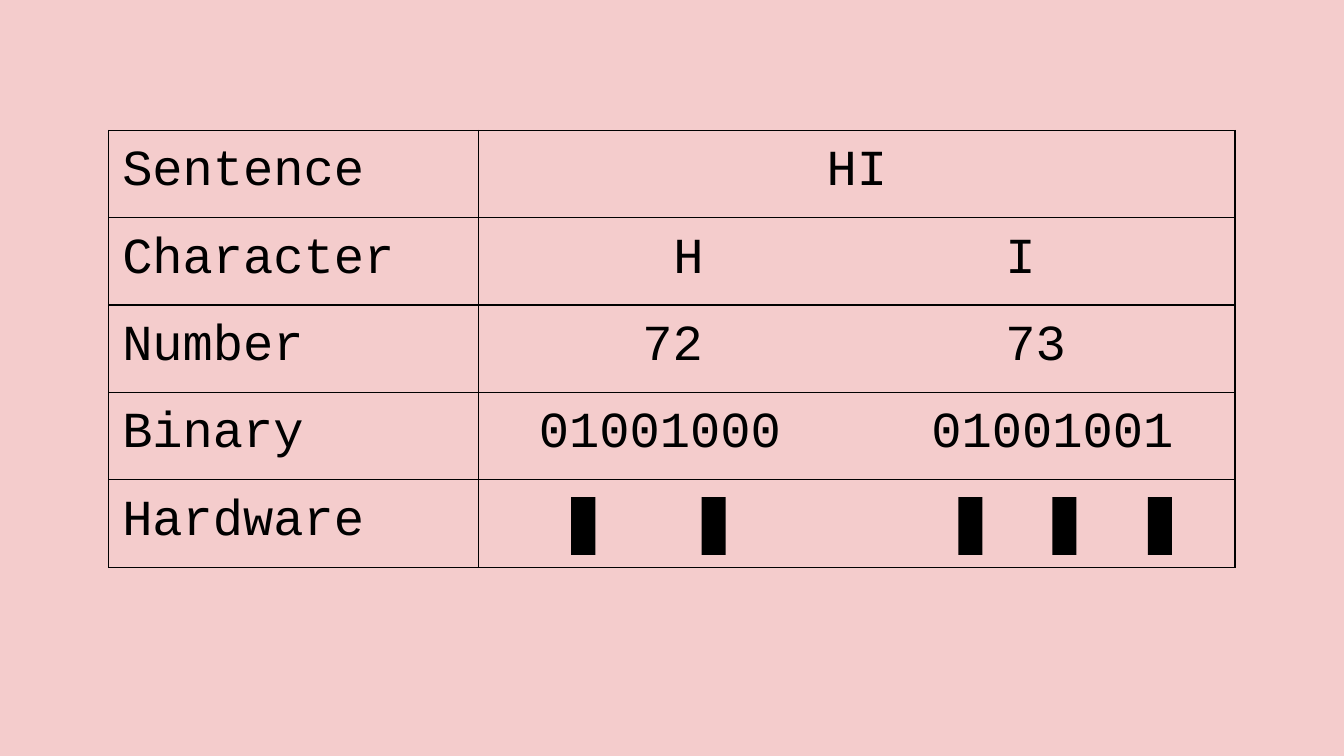
from lxml.etree import SubElement
from pptx import Presentation
from pptx.dml.color import RGBColor
from pptx.enum.shapes import MSO_SHAPE as Shape
from pptx.enum.text import PP_ALIGN as Align
from pptx.oxml import parse_xml
from pptx.oxml.ns import nsdecls, qn
from pptx.util import Inches, Pt

BLACK = "000000"
PINK = "F4CCCC"
SLIDE_WIDTH = 10
SLIDE_HEIGHT = SLIDE_WIDTH * 9 / 16
LABEL_WIDTH = 2.75
ROW_HEIGHT = 0.65
ROWS = [
    ("Sentence", "HI", []),
    ("Character", "\tH\tI", [1.35, 3.82]),
    ("Number", "\t72\t73", [1.12, 3.82]),
    ("Binary", "\t01001000\t01001001", [0.35, 3.27]),
    ("Hardware", "", []),
]
BAR_OFFSETS = [0.69, 1.66, 3.57, 4.27, 4.98]


def color(value):
    """Turn a hex string into a colour."""
    return RGBColor.from_string(value)


def add_borders(cell):
    """Draw a thin black line on each side of a cell."""
    properties = cell._tc.get_or_add_tcPr()
    for index, side in enumerate("LRTB"):
        properties.insert(index, parse_xml(
            f'<a:ln{side} {nsdecls("a")} w="{Pt(0.75)}"><a:solidFill>'
            f'<a:srgbClr val="{BLACK}"/></a:solidFill></a:ln{side}>'))


def fill_cell(cell, text, align=Align.LEFT, stops=()):
    """Format a cell and write its text at the given tab stops."""
    cell.fill.background()
    add_borders(cell)
    cell.margin_left = cell.margin_right = Inches(0.1)
    cell.margin_top = cell.margin_bottom = Inches(0.1)
    paragraph = cell.text_frame.paragraphs[0]
    paragraph.alignment = align
    if stops:
        tabs = SubElement(paragraph._p.get_or_add_pPr(), qn("a:tabLst"))
        for stop in stops:
            SubElement(tabs, qn("a:tab"), pos=str(Inches(stop)), algn="l")
    if text:
        run = paragraph.add_run()
        run.text = text
        run.font.name = "Courier New"
        run.font.size = Pt(27)
        run.font.color.rgb = color(BLACK)


def add_encoding_table(slide, left, top, width):
    """Add the table that leads from sentence to hardware."""
    table = slide.shapes.add_table(
        len(ROWS), 2, Inches(left), Inches(top),
        Inches(width), Inches(ROW_HEIGHT * len(ROWS))).table
    table.first_row = False
    table.horz_banding = False
    table.columns[0].width = Inches(LABEL_WIDTH)
    table.columns[1].width = Inches(width - LABEL_WIDTH)
    for index, (label, value, stops) in enumerate(ROWS):
        table.rows[index].height = Inches(ROW_HEIGHT)
        fill_cell(table.cell(index, 0), label)
        align = Align.LEFT if stops else Align.CENTER
        fill_cell(table.cell(index, 1), value, align, stops)


def add_hardware_bars(slide, left, top):
    """Add a bar for each bit that is on, within the hardware cell."""
    for offset in BAR_OFFSETS:
        bar = slide.shapes.add_shape(
            Shape.RECTANGLE, Inches(left + offset), Inches(top + 0.13),
            Inches(0.18), Inches(0.43))
        bar.shadow.inherit = False
        bar.fill.solid()
        bar.fill.fore_color.rgb = color(BLACK)
        bar.line.fill.background()


def main():
    """Build and save the slide."""
    presentation = Presentation()
    presentation.slide_width = Inches(SLIDE_WIDTH)
    presentation.slide_height = Inches(SLIDE_HEIGHT)
    slide = presentation.slides.add_slide(presentation.slide_layouts[6])
    slide.background.fill.solid()
    slide.background.fill.fore_color.rgb = color(PINK)
    left, top = 0.81, 0.97
    add_encoding_table(slide, left, top, 8.38)
    add_hardware_bars(slide, left + LABEL_WIDTH, top + ROW_HEIGHT * (len(ROWS) - 1))
    presentation.save("out.pptx")


if __name__ == "__main__":
    main()
